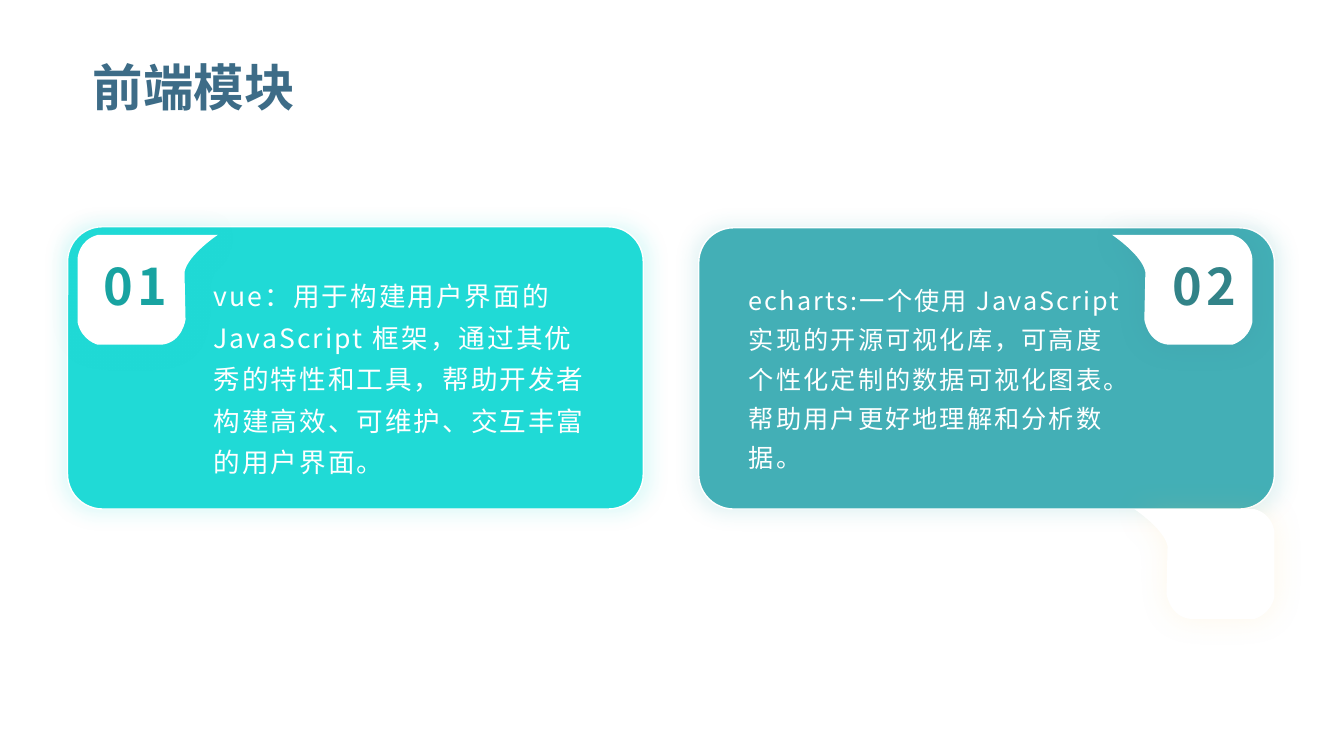
from pptx import Presentation
from pptx import util as u
from pptx.dml.color import RGBColor
from pptx.enum import shapes, text
from pptx.oxml import parse_xml
from pptx.oxml.ns import nsdecls, qn

TITLE = "前端模块"
CARDS = [
    dict(number="01", fill="20DAD6", digits="18A3A1", glow="20DAD6", size=19,
         top=2.25, badge=0.77, mirrored=False, body=2.02, label=0.92,
         words="vue：用于构建用户界面的 JavaScript 框架，通过其优秀的特性和工具，"
               "帮助开发者构建高效、可维护、交互丰富的用户界面。"),
    dict(number="02", fill="43AFB6", digits="328388", glow="3D6C87", size=18,
         top=2.26, badge=12.42, mirrored=True, body=7.33, label=11.53,
         words="echarts:一个使用 JavaScript 实现的开源可视化库，可高度个性化定制的数据可视化图表。"
               "帮助用户更好地理解和分析数据。"),
]
BADGE_START = (0.2, 0)
BADGE_TURNS = [
    ((1.39, 0), (1.09, 0.2), (1.06, 0.37)),
    ((1.07, 0.84), (1.04, 1.07), (0.83, 1.09)),
    ((0.2, 1.09), (0.04, 1.05), (0, 0.87)),
    ((0, 0.23), (0.01, 0.05), (0.2, 0)),
]
THEME = dict(latin="Arial", cjk="Noto Sans CJK SC", heading="3D6C87", white="FFFFFF",
             ghost="FFC961", large=36, spread=1.5, wide=3, leading=1.3,
             card_glow=dict(blur=14, opacity=15, scale=102),
             badge_glow=dict(blur=22, opacity=13, scale=100))

SLIDE_W, SLIDE_H = 13.33, 7.5
CARD_LEFT, CARD_PITCH, CARD_W, CARD_BOTTOM = 0.67, 6.26, 5.71, 5.05
BADGE_TOP, TEXT_TOP = 2.33, 2.53


def box(*lengths):
    return [u.Inches(n) for n in lengths]


def color(code):
    return RGBColor.from_string(code)


def add_glow(sp, code, blur, opacity, scale):
    sp.shadow.inherit = False
    effects = sp._element.spPr.find(qn("a:effectLst"))
    effects.append(parse_xml(
        f'<a:outerShdw {nsdecls("a")} blurRad="{u.Pt(blur)}" dist="0" dir="0" '
        f'sx="{scale * 1000}" sy="{scale * 1000}" algn="ctr" rotWithShape="0">'
        f'<a:srgbClr val="{code}"><a:alpha val="{opacity * 1000}"/>'
        f'</a:srgbClr></a:outerShdw>'))


def write(tf, words, size, code, font, bold=False, spacing=0, align=text.PP_ALIGN.LEFT,
          anchor=text.MSO_ANCHOR.MIDDLE, leading=None, inset=None):
    tf.word_wrap = True
    tf.auto_size = text.MSO_AUTO_SIZE.NONE
    tf.vertical_anchor = anchor
    if inset is not None:
        tf.margin_left = tf.margin_right = tf.margin_top = tf.margin_bottom = inset
    p = tf.paragraphs[0]
    p.alignment = align
    if leading:
        p.line_spacing = leading
    r = p.add_run()
    r.text = words
    r.font.size, r.font.bold, r.font.name = u.Pt(size), bold, font
    r.font.color.rgb = color(code)
    props = r._r.get_or_add_rPr()
    if spacing:
        props.set("spc", str(int(spacing * 100)))
    props.find(qn("a:latin")).addnext(
        parse_xml(f'<a:ea {nsdecls("a")} typeface="{font}"/>'))


def bend(sp):
    lines = list(sp._element.iter(qn("a:lnTo")))
    for i in range(0, len(lines) - 2, 3):
        curve = parse_xml(f'<a:cubicBezTo {nsdecls("a")}/>')
        lines[i].addprevious(curve)
        for line in lines[i:i + 3]:
            curve.append(line[0])
            line.getparent().remove(line)


def add_badge(s, edge, top, mirrored, glow):
    side = -1 if mirrored else 1

    def place(point):
        return u.Inches(edge + side * point[0]), u.Inches(top + point[1])

    outline = s.shapes.build_freeform(*place(BADGE_START))
    for corner, pull, end in BADGE_TURNS:
        handles = [corner] * 4 + [pull, end]
        outline.add_line_segments([place(point) for point in handles], close=False)
    sp = outline.convert_to_shape()
    bend(sp)
    next(sp._element.iter(qn("a:path"))).append(parse_xml(f'<a:close {nsdecls("a")}/>'))
    sp.fill.solid()
    sp.fill.fore_color.rgb = color(THEME["white"])
    sp.line.fill.background()
    add_glow(sp, glow, **THEME["badge_glow"])


def add_card(s, column, card):
    left = CARD_LEFT + column * CARD_PITCH
    sp = s.shapes.add_shape(shapes.MSO_SHAPE.ROUNDED_RECTANGLE,
                            *box(left, card["top"], CARD_W, CARD_BOTTOM - card["top"]))
    sp.adjustments[0] = 0.124
    sp.fill.solid()
    sp.fill.fore_color.rgb = color(card["fill"])
    sp.line.color.rgb = color(THEME["white"])
    sp.line.width = u.Pt(1)
    add_glow(sp, card["fill"], **THEME["card_glow"])

    add_badge(s, card["badge"], BADGE_TOP, card["mirrored"], card["glow"])
    body = s.shapes.add_textbox(*box(card["body"], TEXT_TOP, 3.92, 2.37))
    write(body.text_frame, card["words"], card["size"], THEME["white"], THEME["cjk"],
          spacing=THEME["spread"], leading=THEME["leading"])
    label = s.shapes.add_textbox(*box(card["label"], TEXT_TOP, 0.84, 0.68))
    write(label.text_frame, card["number"], THEME["large"], card["digits"], THEME["cjk"],
          bold=True, spacing=THEME["wide"], align=text.PP_ALIGN.CENTER,
          anchor=text.MSO_ANCHOR.TOP, inset=0)


def main():
    prs = Presentation()
    prs.slide_width, prs.slide_height = box(SLIDE_W, SLIDE_H)
    s = prs.slides.add_slide(prs.slide_layouts[5])
    title = s.shapes.title
    title.left, title.top, title.width, title.height = box(0.92, 0.39, 11.5, 0.94)
    write(title.text_frame, TITLE, THEME["large"], THEME["heading"], THEME["latin"],
          bold=True, inset=0)
    for column, card in enumerate(CARDS):
        add_card(s, column, card)
    add_badge(s, CARD_LEFT + CARD_PITCH + CARD_W, CARD_BOTTOM, True, THEME["ghost"])
    prs.save("out.pptx")


if __name__ == "__main__":
    main()
